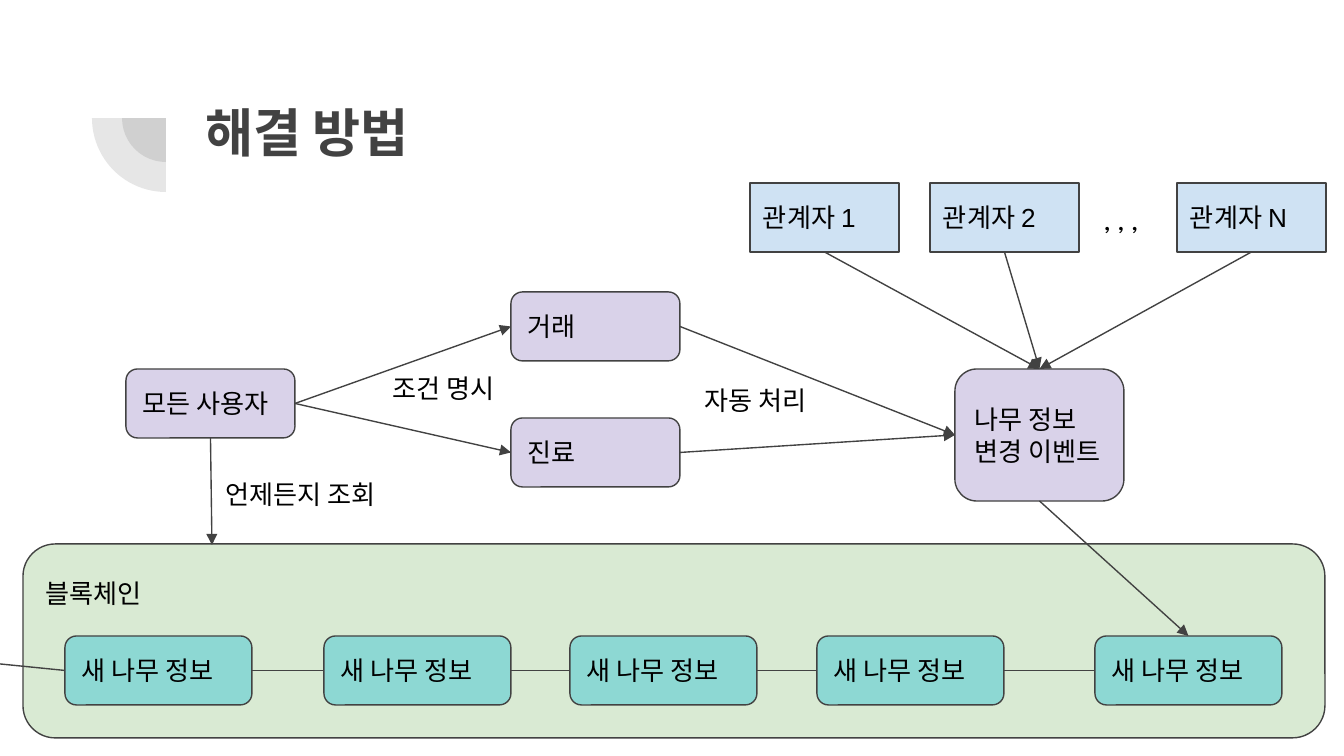
from lxml import etree
from pptx import Presentation
from pptx.dml.color import RGBColor as RGB
from pptx.enum.shapes import MSO_CONNECTOR as LINE, MSO_SHAPE as SHAPE
from pptx.enum.text import MSO_ANCHOR as ANCHOR, PP_ALIGN as ALIGN
from pptx.oxml.ns import qn
from pptx.util import Pt

SCALE = 914400 / 134.4
INSET = 13
TOP, LEFT, BOTTOM, RIGHT = range(4)

INK = RGB(0x42, 0x42, 0x42)
BLACK = RGB(0, 0, 0)
GREEN = RGB(0xD9, 0xEA, 0xD3)
TEAL = RGB(0x8D, 0xD8, 0xD3)
PURPLE = RGB(0xD9, 0xD2, 0xE9)
BLUE = RGB(0xCF, 0xE2, 0xF3)


def px(*sizes):
    return [round(size * SCALE) for size in sizes]


def write(shape, text, font="Arial", size=14, color=BLACK, bold=False):
    frame = shape.text_frame
    frame.word_wrap = True
    (inset,) = px(INSET)
    frame.margin_left = frame.margin_right = inset
    frame.margin_top = frame.margin_bottom = inset
    frame.text = text
    para = frame.paragraphs[0]
    para.alignment = ALIGN.LEFT
    style = para.runs[0].font
    style.name, style.size, style.bold = font, Pt(size), bold
    style.color.rgb = color


def add_label(slide, text, area, font="League Spartan", **style):
    write(slide.shapes.add_textbox(*px(*area)), text, font, **style)


def add_box(slide, text, area, fill, kind=SHAPE.ROUNDED_RECTANGLE):
    box = slide.shapes.add_shape(kind, *px(*area))
    box.shadow.inherit = False
    box.fill.solid()
    box.fill.fore_color.rgb = fill
    box.line.color.rgb = INK
    box.line.width = Pt(0.75)
    write(box, text)
    box.text_frame.vertical_anchor = ANCHOR.MIDDLE
    return box


def add_line(slide, start=(0, 0), end=(0, 0), arrow=True):
    """Draw a line; each end is a point in px or a (box, side) pair."""
    points = [(0, 0) if hasattr(a, "fill") else (a, b) for a, b in (start, end)]
    line = slide.shapes.add_connector(LINE.STRAIGHT, *px(*points[0], *points[1]))
    for spot, glue in ((start, line.begin_connect), (end, line.end_connect)):
        if hasattr(spot[0], "fill"):
            glue(*spot)
    line.line.color.rgb = INK
    line.line.width = Pt(0.75)
    if arrow:
        tail = etree.SubElement(line.line._get_or_add_ln(), qn("a:tailEnd"))
        tail.set("type", "triangle")
    etree.SubElement(line._element.spPr, qn("a:effectLst"))


def add_pie(slide, radius):
    """Draw a see-through quarter disc around the shared corner."""
    area = px(166 - radius, 118 - radius, 2 * radius, 2 * radius)
    pie = slide.shapes.add_shape(SHAPE.PIE, *area)
    pie.adjustments[0], pie.adjustments[1] = 108, 162
    pie.rotation = 270
    pie.shadow.inherit = False
    pie.line.fill.background()
    pie.fill.solid()
    pie.fill.fore_color.rgb = INK
    color = pie._element.spPr.find(qn("a:solidFill"))[0]
    etree.SubElement(color, qn("a:alpha")).set("val", "13000")


def add_chain(slide):
    """Draw the ledger with its linked blocks; return the newest block."""
    ledger = add_box(slide, "블록체인", (23, 544, 1302, 194), GREEN)
    ledger.text_frame.vertical_anchor = ANCHOR.TOP
    ledger.text_frame.margin_top = px(24)[0]
    blocks = [add_box(slide, "새 나무 정보", (x, 636, 187, 69), TEAL)
              for x in (65, 324, 570, 817, 1095)]
    add_line(slide, (0, 664), (blocks[0], LEFT), arrow=False)
    for old, new in zip(blocks, blocks[1:]):
        add_line(slide, (old, RIGHT), (new, LEFT), arrow=False)
    return blocks[-1]


def add_flow(slide, block):
    """Draw users, deals and parties that lead to the change event."""
    event = add_box(slide, "나무 정보 변경 이벤트", (955, 369, 169, 132), PURPLE)
    for name, x in (("1", 750), ("2", 930), ("N", 1177)):
        party = add_box(slide, f"관계자 {name}", (x, 183, 149, 69), BLUE,
                        SHAPE.RECTANGLE)
        add_line(slide, (party, BOTTOM), (event, TOP))
    add_line(slide, (event, BOTTOM), (block, TOP))

    user = add_box(slide, "모든 사용자", (126, 369, 169, 69), PURPLE)
    add_line(slide, (user, BOTTOM), (212, 545))
    for name, y in (("거래", 292), ("진료", 418)):
        deal = add_box(slide, name, (511, y, 169, 69), PURPLE)
        add_line(slide, (user, RIGHT), (deal, LEFT))
        add_line(slide, (deal, RIGHT), (event, LEFT))


def main():
    deck = Presentation()
    deck.slide_width, deck.slide_height = px(1344, 756)
    slide = deck.slides.add_slide(deck.slide_layouts[6])

    for radius in (44, 74):
        add_pie(slide, radius)
    add_label(slide, "해결 방법", (192, 87, 1034, 146), "Roboto",
              size=28, color=INK, bold=True)
    add_flow(slide, add_chain(slide))
    for text, area in (
        (", , ,", (1091, 191, 65, 60)),
        ("언제든지 조회", (212, 465, 212, 51)),
        ("조건 명시", (379, 359, 132, 60)),
        ("자동 처리", (691, 371, 132, 60)),
    ):
        add_label(slide, text, area)
    deck.save("out.pptx")


if __name__ == "__main__":
    main()
